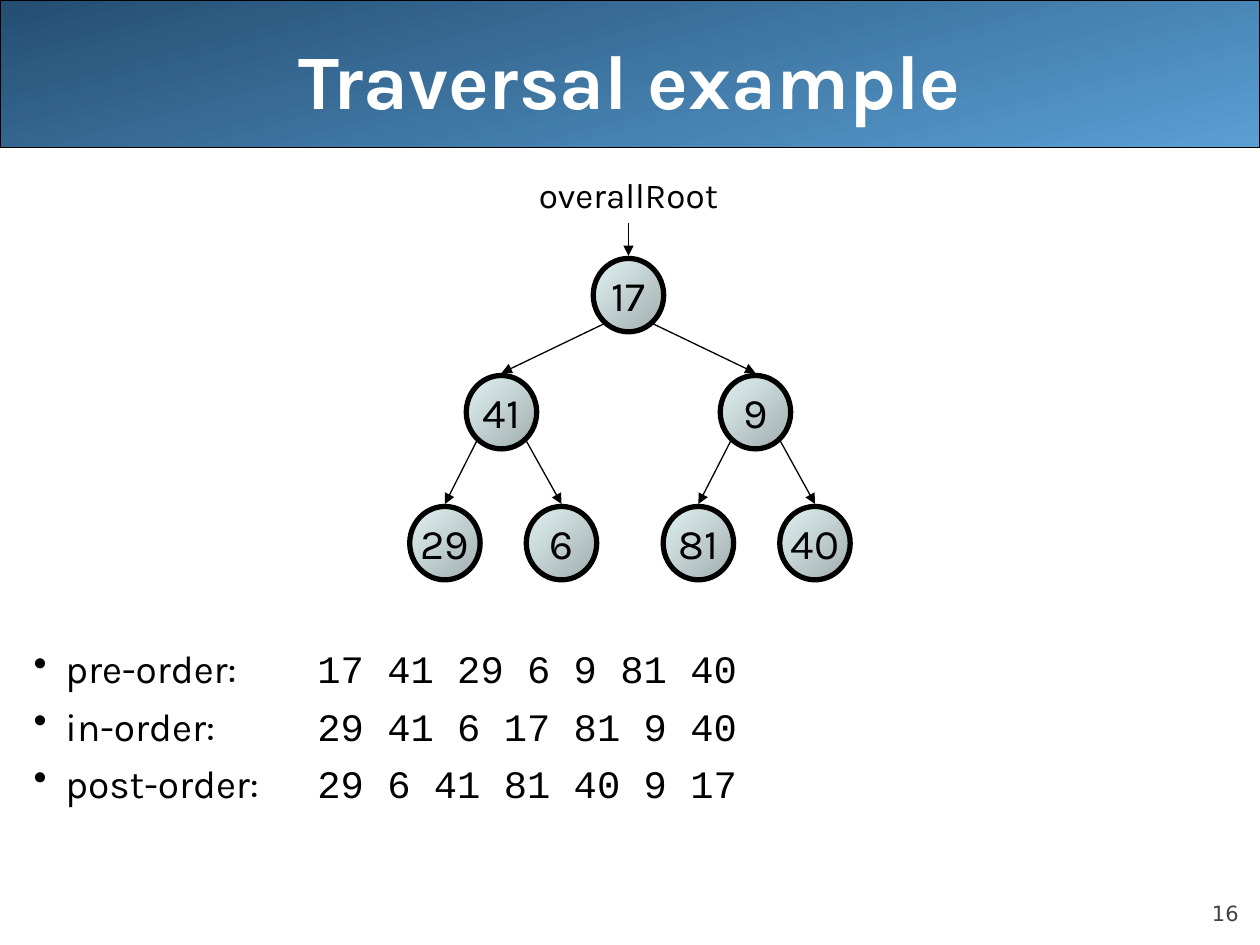
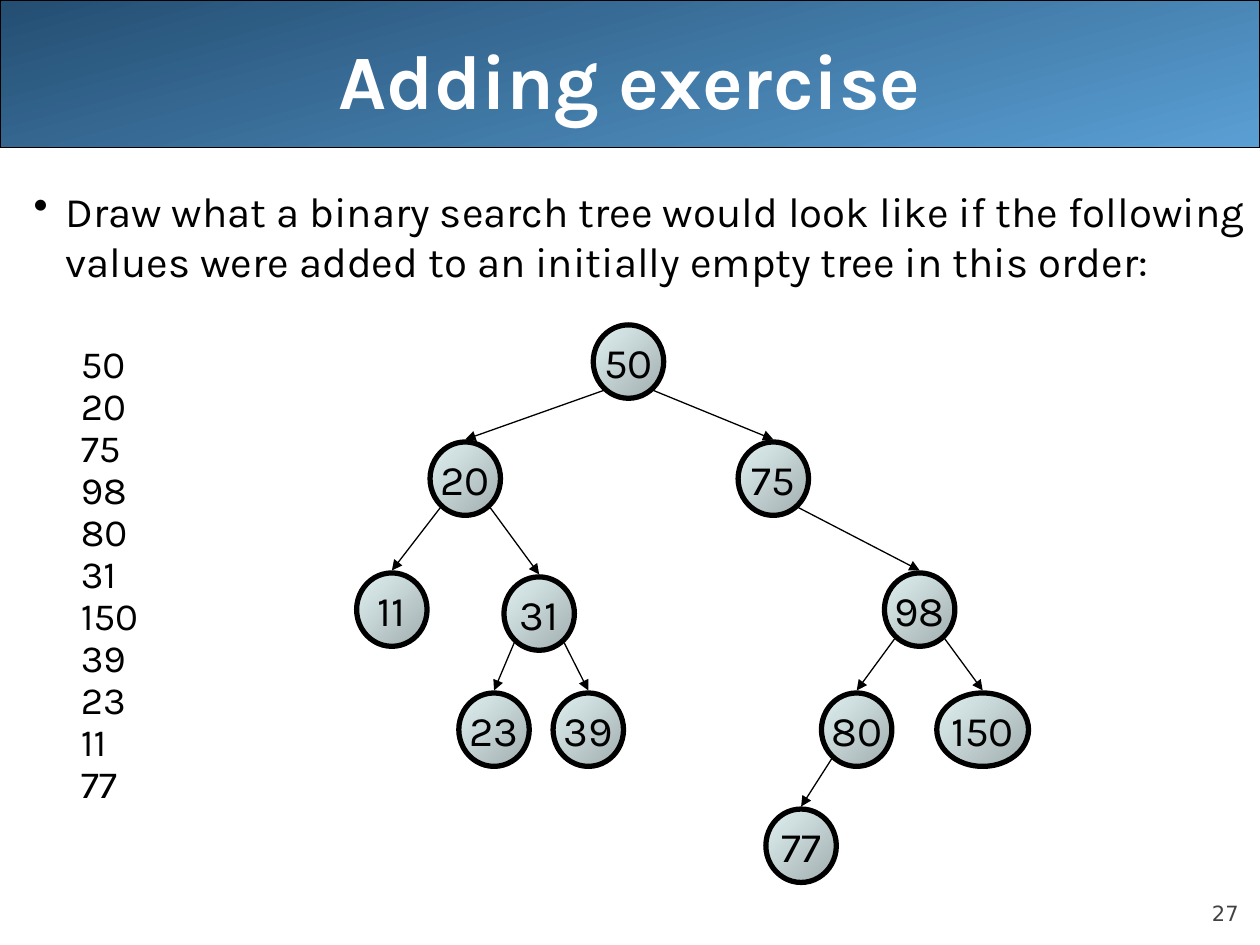
from collections import namedtuple

from lxml.etree import SubElement
from pptx import Presentation
from pptx.dml.color import RGBColor
from pptx.enum.shapes import MSO_CONNECTOR, MSO_SHAPE
from pptx.enum.text import MSO_ANCHOR, PP_ALIGN
from pptx.oxml.ns import qn
from pptx.util import Cm, Pt

BLACK = RGBColor(0x00, 0x00, 0x00)
WHITE = RGBColor(0xFF, 0xFF, 0xFF)
GREY = RGBColor(0x42, 0x42, 0x42)
BAND_DARK = RGBColor(0x24, 0x4E, 0x72)
BAND_LIGHT = RGBColor(0x5A, 0x9F, 0xD4)
NODE_DARK = RGBColor(0xA1, 0xAD, 0xAE)
NODE_LIGHT = RGBColor(0xE1, 0xF2, 0xF3)

TEXT_FONT = "Karla"
CODE_FONT = "Courier New"
NUMBER_FONT = "DejaVu Sans"

SLIDE_WIDTH, SLIDE_HEIGHT = 25.4, 19.05
BODY_LEFT, BODY_WIDTH = 0.43, 24.97
BULLET_INDENT = 0.64
ROOT_X = 12.67
NODE_WIDTH, NODE_HEIGHT = 1.42, 1.48
WIDE_NODE_WIDTH = 1.85
BRANCH_X, BRANCH_Y = 0.5, 1.32
ARROW_GAP = 0.05

Node = namedtuple("Node", "value parent x y")

TRAVERSAL_TREE = [
    Node(17, None, 0, 0),
    Node(41, 17, -2.56, 2.36),
    Node(9, 17, 2.56, 2.36),
    Node(29, 41, -3.7, 5),
    Node(6, 41, -1.35, 5),
    Node(81, 9, 1.41, 5),
    Node(40, 9, 3.76, 5),
]
TRAVERSALS = [
    ("pre-order:", "17 41 29 6 9 81 40"),
    ("in-order:", "29 41 6 17 81 9 40"),
    ("post-order:", "29 6 41 81 40 9 17"),
]
SEARCH_TREE = [
    Node(50, None, 0, 0),
    Node(20, 50, -3.29, 2.36),
    Node(75, 50, 2.92, 2.36),
    Node(11, 20, -4.77, 5),
    Node(31, 20, -1.8, 5.08),
    Node(98, 75, 5.87, 5),
    Node(23, 31, -2.71, 7.42),
    Node(39, 31, -0.81, 7.42),
    Node(80, 98, 4.6, 7.42),
    Node(150, 98, 7.14, 7.42),
    Node(77, 80, 3.48, 9.76),
]
ADDED_VALUES = [50, 20, 75, 98, 80, 31, 150, 39, 23, 11, 77]


def add_text(paragraph, text, size=24, font=TEXT_FONT, color=BLACK, bold=False,
             align=None):
    if align is not None:
        paragraph.alignment = align
    run = paragraph.add_run()
    run.text = text
    run.font.size = Pt(size)
    run.font.name = font
    run.font.color.rgb = color
    run.font.bold = bold


def add_text_box(slide, left, top, width, height, anchor=MSO_ANCHOR.TOP, wrap=True):
    frame = slide.shapes.add_textbox(Cm(left), Cm(top), Cm(width), Cm(height)).text_frame
    frame.word_wrap = wrap
    frame.vertical_anchor = anchor
    return frame


def next_paragraph(frame, index, space_before=0):
    if index == 0:
        return frame.paragraphs[0]
    paragraph = frame.add_paragraph()
    paragraph.space_before = Pt(space_before)
    return paragraph


def indent(paragraph, left, first=0, bullet=False, tab=None):
    properties = paragraph._p.get_or_add_pPr()
    properties.set("marL", str(Cm(left)))
    properties.set("indent", str(Cm(first)))
    if bullet:
        color = SubElement(properties, qn("a:buClr"))
        SubElement(color, qn("a:srgbClr"), val=str(BLACK))
        SubElement(properties, qn("a:buChar"), char="•")
    if tab:
        tabs = SubElement(properties, qn("a:tabLst"))
        SubElement(tabs, qn("a:tab"), pos=str(Cm(tab)), algn="l")


def add_gradient_shape(slide, kind, left, top, width, height, start, end, angle, line_width):
    shape = slide.shapes.add_shape(kind, Cm(left), Cm(top), Cm(width), Cm(height))
    shape.shadow.inherit = False
    shape.fill.gradient()
    shape.fill.gradient_angle = angle
    for stop, color in zip(shape.fill.gradient_stops, (start, end)):
        stop.color.rgb = color
    shape.line.color.rgb = BLACK
    shape.line.width = Pt(line_width)
    return shape


def add_arrow(slide, start_x, start_y, end_x, end_y):
    arrow = slide.shapes.add_connector(
        MSO_CONNECTOR.STRAIGHT, Cm(start_x), Cm(start_y), Cm(end_x), Cm(end_y))
    arrow.line.color.rgb = BLACK
    arrow.line.width = Pt(0.75)
    SubElement(arrow.line._get_or_add_ln(), qn("a:tailEnd"), type="triangle")
    SubElement(arrow._element.spPr, qn("a:effectLst"))


def add_slide(presentation, title, number):
    slide = presentation.slides.add_slide(presentation.slide_layouts[6])
    band = add_gradient_shape(slide, MSO_SHAPE.ROUNDED_RECTANGLE, 0, 0, SLIDE_WIDTH, 2.97,
                              BAND_DARK, BAND_LIGHT, 285, 0.75)
    band.adjustments[0] = 0
    number_frame = add_text_box(slide, 22.86, 17.65, 2.11, 1.02, MSO_ANCHOR.BOTTOM)
    number_frame.margin_left = number_frame.margin_right = 0
    number_frame.margin_top = number_frame.margin_bottom = 0
    add_text(number_frame.paragraphs[0], str(number), size=12, font=NUMBER_FONT,
             color=GREY, align=PP_ALIGN.RIGHT)
    title_frame = add_text_box(slide, 1.27, 0, 22.86, 3.18, MSO_ANCHOR.MIDDLE)
    add_text(title_frame.paragraphs[0], title, size=44, color=WHITE, bold=True,
             align=PP_ALIGN.CENTER)
    return slide


def add_node(slide, value, center, top):
    width = WIDE_NODE_WIDTH if value > 99 else NODE_WIDTH
    circle = add_gradient_shape(slide, MSO_SHAPE.OVAL, center - width / 2, top, width,
                                NODE_HEIGHT, NODE_DARK, NODE_LIGHT, 135, 3)
    frame = circle.text_frame
    frame.word_wrap = False
    frame.vertical_anchor = MSO_ANCHOR.MIDDLE
    add_text(frame.paragraphs[0], str(value), align=PP_ALIGN.CENTER)


def add_tree(slide, nodes, root_x, root_top):
    placed = {node.value: node for node in nodes}
    for node in nodes:
        center, top = root_x + node.x, root_top + node.y
        add_node(slide, node.value, center, top)
        if node.parent is not None:
            parent = placed[node.parent]
            side = BRANCH_X if node.x > parent.x else -BRANCH_X
            add_arrow(slide, root_x + parent.x + side, root_top + parent.y + BRANCH_Y,
                      center, top - ARROW_GAP)


def add_root_label(slide, root_x, root_top):
    width = 4.3
    frame = add_text_box(slide, root_x - width / 2, root_top - 1.83, width, 1.12, wrap=False)
    add_text(frame.paragraphs[0], "overallRoot", size=20, align=PP_ALIGN.CENTER)
    add_arrow(slide, root_x, root_top - 0.71, root_x, root_top - ARROW_GAP)


def add_traversals(slide, left, top, width, height):
    frame = add_text_box(slide, left, top, width, height)
    for index, (label, order) in enumerate(TRAVERSALS):
        paragraph = next_paragraph(frame, index, 6)
        indent(paragraph, BULLET_INDENT, -BULLET_INDENT, bullet=True, tab=5.72)
        add_text(paragraph, label + "\t", size=22.2)
        add_text(paragraph, order, size=22.2, font=CODE_FONT)


def add_exercise(slide, left, top, width, height):
    frame = add_text_box(slide, left, top, width, height)
    prompt = next_paragraph(frame, 0)
    indent(prompt, BULLET_INDENT, -BULLET_INDENT, bullet=True)
    add_text(prompt, "Draw what a binary search tree would look like if the following "
                     "values were added to an initially empty tree in this order:")
    for index, value in enumerate(ADDED_VALUES, 1):
        paragraph = next_paragraph(frame, index, 38 if index == 1 else 5.5)
        paragraph.line_spacing = 0.7
        indent(paragraph, 0.95)
        add_text(paragraph, str(value), size=22)


def build_traversal_slide(presentation):
    slide = add_slide(presentation, "Traversal example", 16)
    add_traversals(slide, BODY_LEFT, 12.88, BODY_WIDTH, 5.13)
    add_tree(slide, TRAVERSAL_TREE, ROOT_X, 5.21)
    add_root_label(slide, ROOT_X, 5.21)


def build_adding_slide(presentation):
    slide = add_slide(presentation, "Adding exercise", 27)
    add_exercise(slide, BODY_LEFT, 3.61, BODY_WIDTH, 14.4)
    add_tree(slide, SEARCH_TREE, ROOT_X, 6.55)


def main():
    presentation = Presentation()
    presentation.slide_width = Cm(SLIDE_WIDTH)
    presentation.slide_height = Cm(SLIDE_HEIGHT)
    build_traversal_slide(presentation)
    build_adding_slide(presentation)
    presentation.save("out.pptx")


if __name__ == "__main__":
    main()
